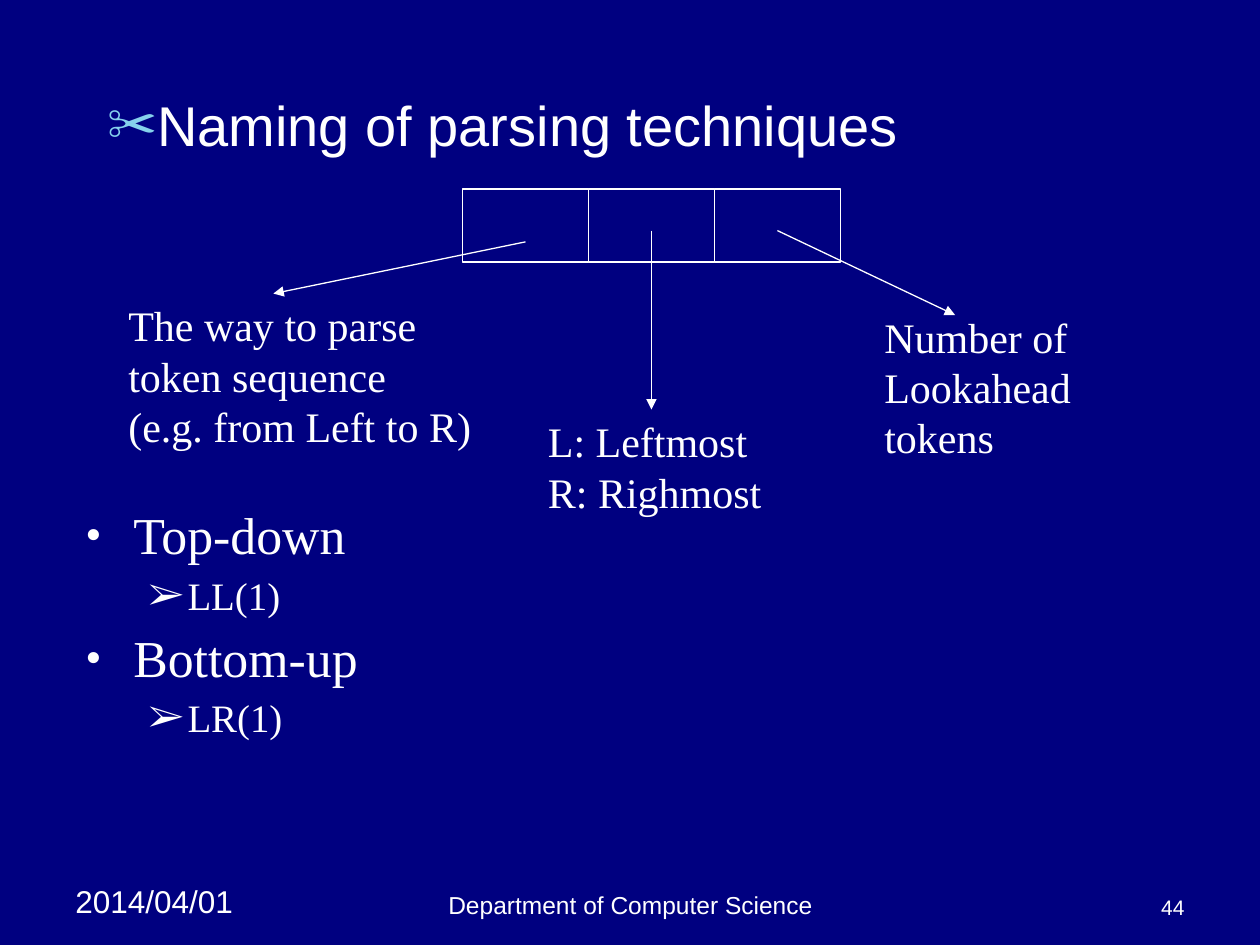
from lxml.etree import SubElement
from pptx import Presentation
from pptx.dml.color import RGBColor
from pptx.enum.shapes import MSO_CONNECTOR as Connector, MSO_SHAPE as Shape
from pptx.enum.text import MSO_ANCHOR as Anchor, MSO_AUTO_SIZE as AutoSize, PP_ALIGN as Align
from pptx.oxml.ns import qn
from pptx.util import Inches, Pt

WHITE = "FFFFFF"
NAVY = "000080"
SKY = "86D1EC"
SERIF = "Times New Roman"
SANS = "Arial"


def color(value):
    """Turn a hex string into a colour."""
    return RGBColor.from_string(value)


def set_font(paragraph, name, size):
    """Give a paragraph its white font."""
    paragraph.font.name = name
    paragraph.font.size = Pt(size)
    paragraph.font.bold = False
    paragraph.font.color.rgb = color(WHITE)


def set_bullet(paragraph, character, left, hanging, percent, bullet_color=WHITE):
    """Give a paragraph a hanging bullet."""
    properties = paragraph._p.get_or_add_pPr()
    properties.set("marL", str(Inches(left)))
    properties.set("indent", str(-Inches(hanging)))
    fill = SubElement(properties, qn("a:buClr"))
    SubElement(fill, qn("a:srgbClr"), val=bullet_color)
    SubElement(properties, qn("a:buSzPct"), val=str(percent * 1000))
    SubElement(properties, qn("a:buFont"), typeface=SERIF)
    SubElement(properties, qn("a:buChar"), char=character)


def add_title(slide, text):
    """Fill and place the title with its scissors bullet."""
    title = slide.shapes.title
    title.left, title.top = Inches(0.75), Inches(0.67)
    title.width, title.height = Inches(8.5), Inches(0.67)
    frame = title.text_frame
    frame.text = text
    frame.auto_size = AutoSize.NONE
    frame.vertical_anchor = Anchor.TOP
    paragraph = frame.paragraphs[0]
    paragraph.alignment = Align.LEFT
    set_bullet(paragraph, "✂", 0.38, 0.38, 90, SKY)
    set_font(paragraph, SANS, 32)


def add_text(slide, lines, left, top, width, height, name=SERIF, size=24,
             align=Align.LEFT, anchor=Anchor.TOP, wrap=True):
    """Add a text box with one paragraph per line."""
    box = slide.shapes.add_textbox(Inches(left), Inches(top), Inches(width), Inches(height))
    frame = box.text_frame
    frame.text = "\n".join(lines)
    frame.word_wrap = wrap
    frame.vertical_anchor = anchor
    for paragraph in frame.paragraphs:
        paragraph.alignment = align
        set_font(paragraph, name, size)


def add_outline(slide, items, left, top, width, height):
    """Add a two-level bulleted list."""
    box = slide.shapes.add_textbox(Inches(left), Inches(top), Inches(width), Inches(height))
    frame = box.text_frame
    frame.word_wrap = True
    frame.text = "\n".join(text for level, text in items)
    for index, (paragraph, (level, text)) in enumerate(zip(frame.paragraphs, items)):
        paragraph.level = level
        paragraph.line_spacing = 0.9
        if index:
            paragraph.space_before = Pt(6 if level else 8)
        if level:
            set_bullet(paragraph, "➢", 0.81, 0.31, 100)
        else:
            set_bullet(paragraph, "•", 0.38, 0.38, 90)
        set_font(paragraph, SERIF, 22.2 if level else 29.6)


def add_cell(slide, left, top, width, height):
    """Add an empty outlined box."""
    cell = slide.shapes.add_shape(
        Shape.RECTANGLE, Inches(left), Inches(top), Inches(width), Inches(height))
    cell.shadow.inherit = False
    cell.fill.background()
    cell.line.color.rgb = color(WHITE)
    cell.line.width = Pt(0.75)


def add_arrow(slide, start_x, start_y, end_x, end_y):
    """Add a straight arrow."""
    arrow = slide.shapes.add_connector(
        Connector.STRAIGHT, Inches(start_x), Inches(start_y), Inches(end_x), Inches(end_y))
    arrow.line.color.rgb = color(WHITE)
    arrow.line.width = Pt(0.75)
    SubElement(arrow.line._get_or_add_ln(), qn("a:tailEnd"), type="triangle")
    SubElement(arrow._element.spPr, qn("a:effectLst"))


def main():
    """Build the slide."""
    presentation = Presentation()
    presentation.slide_width = Inches(10)
    presentation.slide_height = Inches(7.5)
    slide = presentation.slides.add_slide(presentation.slide_layouts[5])
    slide.background.fill.solid()
    slide.background.fill.fore_color.rgb = color(NAVY)

    add_title(slide, "Naming of parsing techniques")
    for column in range(3):
        add_cell(slide, 3.67 + column, 1.5, 1, 0.58)

    add_text(slide, ["The way to parse", "token sequence", "(e.g. from Left to R)"],
             0.92, 2.33, 2.92, 1.3, wrap=False)
    add_text(slide, ["L: Leftmost", "R: Righmost"], 4.25, 3.25, 1.98, 0.9, wrap=False)
    add_text(slide, ["Number of", "Lookahead", "tokens"], 6.92, 2.42, 1.92, 1.3)
    add_arrow(slide, 4.17, 1.92, 2.17, 2.33)
    add_arrow(slide, 5.17, 1.83, 5.17, 3.25)
    add_arrow(slide, 6.17, 1.83, 7.58, 2.5)

    add_outline(slide, [(0, "Top-down"), (1, "LL(1)"), (0, "Bottom-up"), (1, "LR(1)")],
                0.58, 4, 8.58, 2.17)

    add_text(slide, ["2014/04/01"], 0.5, 6.95, 1.58, 0.4, SANS, 18)
    add_text(slide, ["Department of Computer Science"], 3.42, 6.83, 3.17, 0.52,
             SANS, 14, Align.CENTER, Anchor.BOTTOM)
    add_text(slide, ["44"], 7.17, 6.83, 2.33, 0.52, SANS, 12, Align.RIGHT, Anchor.BOTTOM)
    presentation.save("out.pptx")


if __name__ == "__main__":
    main()
